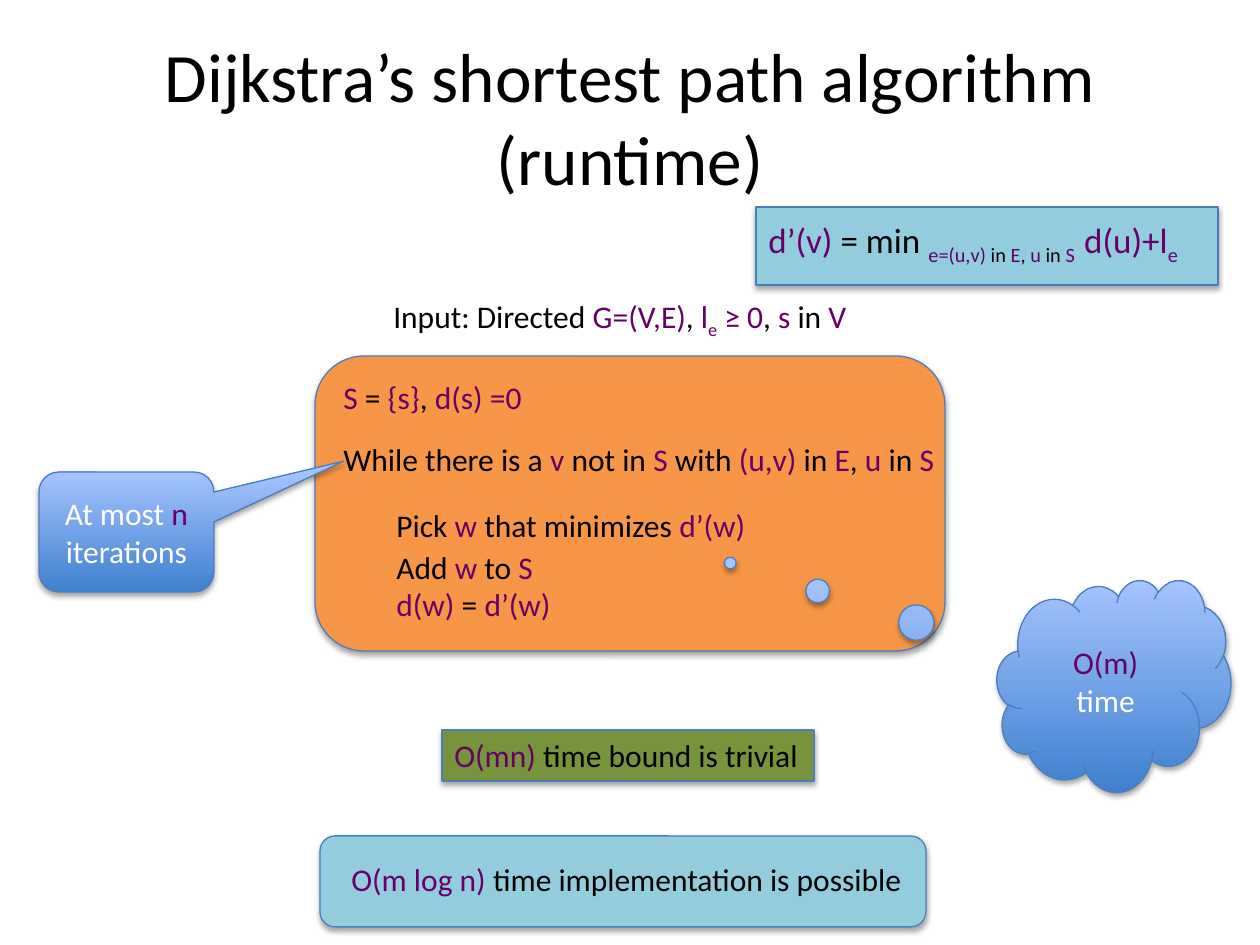
import pptx
import pptx.util
import pptx.dml.color
import pptx.enum.shapes
import pptx.enum.text
import pptx.oxml
import pptx.oxml.ns

PX = 914400 // 126


class Theme:
    font = "Calibri"
    title, formula, body = 39.6, 20, 18
    black, white, math = "000000", "FFFFFF", "660066"
    orange, green, teal = "F79646", "77933C", "93CDDD"
    outline, blue_bottom, blue_top = "4B7EBC", "3F80CE", "A4C4FF"


SHADOW = (
    f'<a:outerShdw {pptx.oxml.ns.nsdecls("a")} blurRad="40000" dist="23000" dir="5400000" '
    'rotWithShape="0"><a:srgbClr val="000000"><a:alpha val="35000"/></a:srgbClr></a:outerShdw>'
)

rgb = pptx.dml.color.RGBColor.from_string
KIND = pptx.enum.shapes.MSO_SHAPE
ALIGN = pptx.enum.text.PP_ALIGN
MIDDLE = pptx.enum.text.MSO_ANCHOR.MIDDLE


def write(frame, text, size=Theme.body, color=Theme.black, align=ALIGN.LEFT):
    """Fill a text frame; * switches the math colour on and off, ~ the subscript."""
    para = frame.paragraphs[0]
    para.alignment = align
    para.font.name = Theme.font
    para.font.size = pptx.util.Pt(size)
    for i, colored in enumerate(text.split("*")):
        for j, piece in enumerate(colored.split("~")):
            if piece:
                span = para.add_run()
                span.text = piece
                span.font.color.rgb = rgb(Theme.math if i % 2 else color)
                if j % 2:
                    span.font._element.set("baseline", "-25000")


def add_panel(kind, bounds, fill=None):
    """Add an outlined, shadowed shape; without a fill colour it gets the blue gradient."""
    panel = page.shapes.add_shape(kind, *(n * PX for n in bounds))
    if fill:
        panel.fill.solid()
        panel.fill.fore_color.rgb = rgb(fill)
    else:
        panel.fill.gradient()
        panel.fill.gradient_angle = 90
        for stop, color, position in zip(
            panel.fill.gradient_stops, (Theme.blue_bottom, Theme.blue_top), (0, 1)
        ):
            stop.color.rgb = rgb(color)
            stop.position = position
    panel.line.color.rgb = rgb(Theme.outline)
    panel.line.width = pptx.util.Pt(0.75)
    panel.shadow.inherit = False
    effects = panel._element.spPr.find(pptx.oxml.ns.qn("a:effectLst"))
    effects.append(pptx.oxml.parse_xml(SHADOW))
    return panel


deck = pptx.Presentation()
deck.slide_width, deck.slide_height = 1260 * PX, 945 * PX
page = deck.slides.add_slide(deck.slide_layouts[6])

# Panels behind the text
for kind, bounds, fill in (
    (KIND.ROUNDED_RECTANGLE, (315, 356, 630, 295), Theme.orange),
    (KIND.RECTANGLE, (442, 730, 372, 51), Theme.green),
    (KIND.ROUNDED_RECTANGLE, (320, 836, 606, 91), Theme.teal),
    (KIND.RECTANGLE, (756, 207, 462, 78), Theme.teal),
):
    add_panel(kind, bounds, fill)

# Title
title = page.shapes.add_textbox(63 * PX, 38 * PX, 1134 * PX, 157 * PX).text_frame
title.word_wrap = True
title.vertical_anchor = MIDDLE
write(title, "Dijkstra’s shortest path algorithm (runtime)", Theme.title, align=ALIGN.CENTER)

# Single lines of text: left, top, width, size, wording
for left, top, width, size, text in (
    (381, 291, 490, Theme.body, "Input: Directed *G=(V,E)*, *l~e~ ≥ 0*, *s* in *V*"),
    (331, 372, 205, Theme.body, "*S* = *{s}*, *d(s) =0*"),
    (331, 434, 622, Theme.body,
     "While there is a *v* not in *S* with *(u,v)* in *E*, *u* in *S*"),
    (384, 500, 378, Theme.body, "Pick *w* that minimizes *d’(w)*"),
    (384, 542, 164, Theme.body, "Add *w* to *S*"),
    (384, 579, 181, Theme.body, "*d(w)* = *d’(w)*"),
    (442, 730, 372, Theme.body, "*O(mn) *time bound is trivial"),
    (339, 854, 581, Theme.body, "*O(m log n) *time implementation is possible"),
    (756, 212, 475, Theme.formula,
     "*d’(v)* = min *~e=(u,v) ~*~in ~*~E~*~, ~*~u~*~ in ~*~S  ~d(u)+l~e~*"),
):
    height = 55 if size == Theme.formula else 51
    box = page.shapes.add_textbox(left * PX, top * PX, width * PX, height * PX)
    box.text_frame.word_wrap = False
    box.text_frame.auto_size = pptx.enum.text.MSO_AUTO_SIZE.SHAPE_TO_FIT_TEXT
    write(box.text_frame, text, size)

# Callouts pointing at the loop and at the minimum step
for kind, bounds, tip, text in (
    (KIND.ROUNDED_RECTANGULAR_CALLOUT, (39, 472, 175, 120), (1.24, -0.59),
     "At most *n* iterations"),
    (KIND.CLOUD_CALLOUT, (997, 580, 234, 212), (-1.64, -0.58), "*O(m) *time"),
):
    callout = add_panel(kind, bounds)
    callout.adjustments[0], callout.adjustments[1] = tip
    callout.text_frame.word_wrap = True
    callout.text_frame.vertical_anchor = MIDDLE
    write(callout.text_frame, text, color=Theme.white, align=ALIGN.CENTER)

deck.save("out.pptx")
